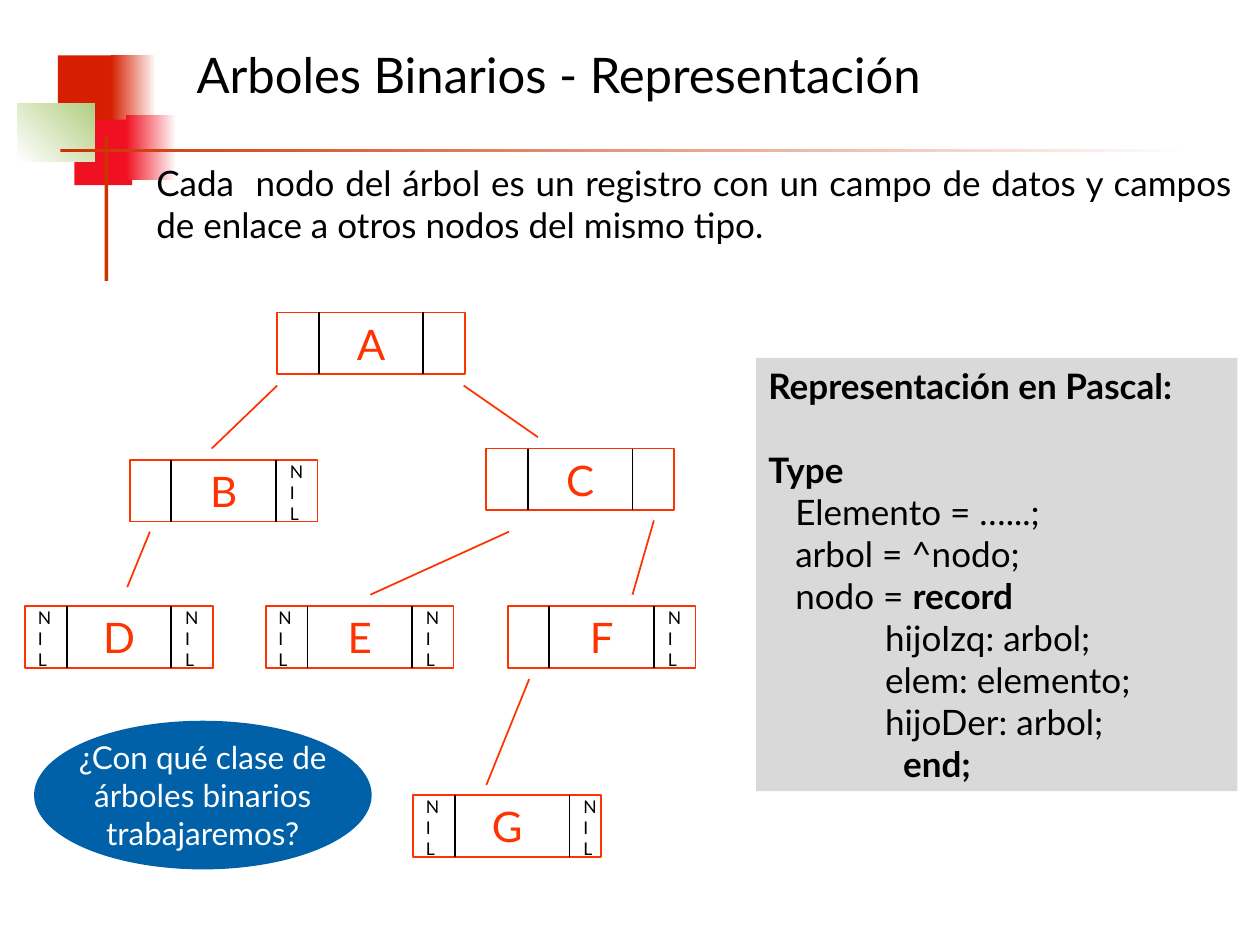
from dataclasses import dataclass

from lxml.etree import SubElement
from pptx import Presentation
from pptx.dml.color import RGBColor
from pptx.enum.shapes import MSO_CONNECTOR, MSO_SHAPE
from pptx.enum.text import MSO_ANCHOR, MSO_AUTO_SIZE, PP_ALIGN
from pptx.oxml.ns import qn
from pptx.util import Inches, Pt


@dataclass(frozen=True)
class Theme:
    font: str = "Lato"
    text: str = "000000"
    paper: str = "FFFFFF"
    red: str = "D61F00"
    crimson: str = "EF1121"
    green: str = "B3CE82"
    rule: str = "CC3300"
    node: str = "FF3300"
    panel: str = "D9D9D9"
    question: str = "0060A8"
    title_size: int = 28
    body_size: int = 20
    question_size: int = 18
    node_size: int = 24
    nil_size: int = 10


THEME = Theme()

TITLE = "Arboles Binarios - Representación"
BODY = ("Cada  nodo del árbol es un registro con un campo de datos y campos "
        "de enlace a otros nodos del mismo tipo.")
QUESTION = ["¿Con qué clase de", "árboles binarios", "trabajaremos?"]
NIL = ["N", "I", "L"]

# Each line is a list of (text, bold) runs.
PASCAL = [
    [("Representación en Pascal:", True)],
    [("Type", True)],
    [("   Elemento = …...;", False)],
    [("   arbol = ^nodo;", False)],
    [("   nodo = ", False), ("record", True)],
    [("\t      hijoIzq: arbol;", False)],
    [("\t      elem: elemento;", False)],
    [("\t      hijoDer: arbol;", False)],
    [("               ", False), ("end;", True)],
]

# Box in inches, then start colour, end colour (None for solid) and angle.
DECORATION = [
    ((0.46, 0.44, 0.48, 0.52), THEME.red, None, 0),
    ((0.88, 0.44, 0.36, 0.52), THEME.red, THEME.paper, 0),
    ((0.59, 0.95, 0.46, 0.52), THEME.crimson, None, 0),
    ((1, 0.91, 0.4, 0.52), THEME.crimson, THEME.paper, 0),
    ((0.14, 0.82, 0.61, 0.46), THEME.paper, THEME.green, 45),
    ((0.83, 1.08, 0.03, 1.15), THEME.rule, None, 0),
    ((0.48, 1.18, 9, 0.03), THEME.rule, THEME.paper, 0),
]

NODE_WIDTH, NODE_HEIGHT = 1.49, 0.49
LEFT_DIVIDER, RIGHT_DIVIDER, WIDE_DIVIDER = 0.33, 1.16, 1.24
NIL_LEFT, NIL_GAP = 0.1, 0.11
LEAF_ROW = 4.81

# Letter, left, top, left link is nil, right link is nil, right divider.
NODES = [
    ("A", 2.2, 2.48, False, False, RIGHT_DIVIDER),
    ("B", 1.03, 3.65, False, True, RIGHT_DIVIDER),
    ("C", 3.86, 3.56, False, False, RIGHT_DIVIDER),
    ("D", 0.2, LEAF_ROW, True, True, RIGHT_DIVIDER),
    ("E", 2.11, LEAF_ROW, True, True, RIGHT_DIVIDER),
    ("F", 4.03, LEAF_ROW, False, True, RIGHT_DIVIDER),
    ("G", 3.28, 6.31, True, True, WIDE_DIVIDER),
]

BRANCHES = [
    ((2.2, 3.06), (1.68, 3.56)),   # A to B
    ((3.68, 3.06), (4.27, 3.47)),  # A to C
    ((1.19, 4.22), (1.01, 4.66)),  # B to D
    ((4.04, 4.22), (2.94, 4.72)),  # C to E
    ((5.19, 4.13), (5.02, 4.72)),  # C to F
    ((4.2, 5.39), (3.86, 6.23)),   # F to G
]


def color(value):
    return RGBColor.from_string(value)


def inches(values):
    return [Inches(value) for value in values]


def write(shape, lines, size, ink, align=PP_ALIGN.LEFT,
          anchor=MSO_ANCHOR.TOP, margins=(0.1, 0.05), wrap=True):
    """Fill a shape with lines, each a list of (text, bold) runs."""
    frame = shape.text_frame
    frame.auto_size = MSO_AUTO_SIZE.NONE
    frame.word_wrap = wrap
    frame.vertical_anchor = anchor
    frame.margin_left = frame.margin_right = Inches(margins[0])
    frame.margin_top = frame.margin_bottom = Inches(margins[1])
    for index, line in enumerate(lines):
        paragraph = frame.add_paragraph() if index else frame.paragraphs[0]
        paragraph.alignment = align
        paragraph.space_before = Pt(0)
        for text, bold in line:
            run = paragraph.add_run()
            run.text = text
            run.font.name = THEME.font
            run.font.size = Pt(size)
            run.font.bold = bold
            run.font.color.rgb = color(ink)


def plain(lines):
    return [[(line, False)] for line in lines]


def add_block(shapes, box, fill, end=None, angle=0, outline=None,
              kind=MSO_SHAPE.RECTANGLE):
    shape = shapes.add_shape(kind, *inches(box))
    shape.shadow.inherit = False
    if end:
        shape.fill.gradient()
        shape.fill.gradient_angle = angle
        for stop, value in zip(shape.fill.gradient_stops, (fill, end)):
            stop.color.rgb = color(value)
    else:
        shape.fill.solid()
        shape.fill.fore_color.rgb = color(fill)
    if outline:
        shape.line.color.rgb = color(outline)
        shape.line.width = Pt(1)
    else:
        shape.line.fill.background()
    return shape


def add_line(shapes, start, end, ink):
    line = shapes.add_connector(MSO_CONNECTOR.STRAIGHT, *inches(start + end))
    line.line.color.rgb = color(ink)
    line.line.width = Pt(1)
    SubElement(line._element.spPr, qn("a:effectLst"))


def add_node(shapes, letter, left, top, left_nil, right_nil, divider):
    box = add_block(shapes, (left, top, NODE_WIDTH, NODE_HEIGHT),
                    THEME.paper, outline=THEME.node)
    write(box, plain([letter]), THEME.node_size, THEME.node,
          PP_ALIGN.CENTER, MSO_ANCHOR.MIDDLE, wrap=False)
    for offset in (LEFT_DIVIDER, divider):
        x = left + offset
        add_line(shapes, (x, top), (x, top + NODE_HEIGHT), THEME.text)
    for is_nil, offset in ((left_nil, NIL_LEFT),
                           (right_nil, divider + NIL_GAP)):
        if is_nil:
            label = shapes.add_textbox(
                *inches((left + offset, top + 0.01, 0.31, 0.5)))
            write(label, plain(NIL), THEME.nil_size, THEME.text,
                  margins=(0, 0))


def place(shapes, placeholder, box):
    """Position a placeholder in front of the decoration."""
    (placeholder.left, placeholder.top,
     placeholder.width, placeholder.height) = inches(box)
    shapes._spTree.append(placeholder._element)


def main():
    presentation = Presentation()
    presentation.slide_width, presentation.slide_height = inches((10, 7.5))
    slide = presentation.slides.add_slide(presentation.slide_layouts[1])
    shapes = slide.shapes
    for box, fill, end, angle in DECORATION:
        add_block(shapes, box, fill, end, angle)

    title, body = shapes.title, slide.placeholders[1]
    place(shapes, title, (1.46, 0.13, 6.93, 0.92))
    write(title, plain([TITLE]), THEME.title_size, THEME.text,
          anchor=MSO_ANCHOR.MIDDLE)
    place(shapes, body, (1.14, 1.23, 8.74, 1.1))
    properties = body.text_frame.paragraphs[0]._p.get_or_add_pPr()
    properties.set("marL", "0")
    properties.set("indent", "0")
    SubElement(properties, qn("a:buNone"))
    write(body, plain([BODY]), THEME.body_size, THEME.text, PP_ALIGN.JUSTIFY)

    panel = add_block(shapes, (6, 2.84, 3.82, 3.44), THEME.panel)
    write(panel, PASCAL, THEME.body_size, THEME.text)
    panel.text_frame.paragraphs[1].space_before = Pt(24)

    question = add_block(shapes, (0.27, 5.72, 2.68, 1.18), THEME.question,
                         kind=MSO_SHAPE.OVAL)
    write(question, plain(QUESTION), THEME.question_size, THEME.paper,
          PP_ALIGN.CENTER, MSO_ANCHOR.MIDDLE, wrap=False)

    for node in NODES:
        add_node(shapes, *node)
    for start, end in BRANCHES:
        add_line(shapes, start, end, THEME.node)
    presentation.save("out.pptx")


if __name__ == "__main__":
    main()
